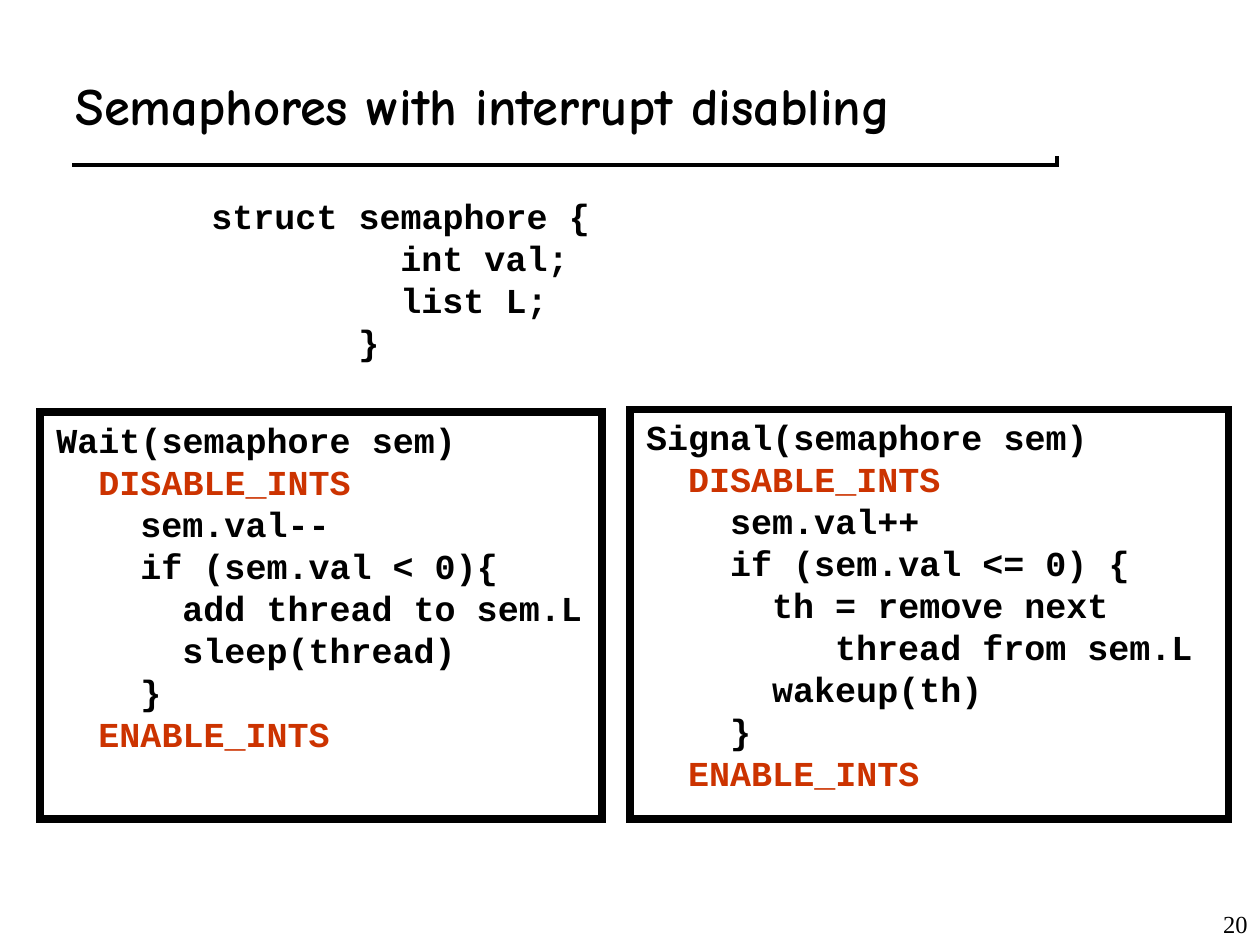
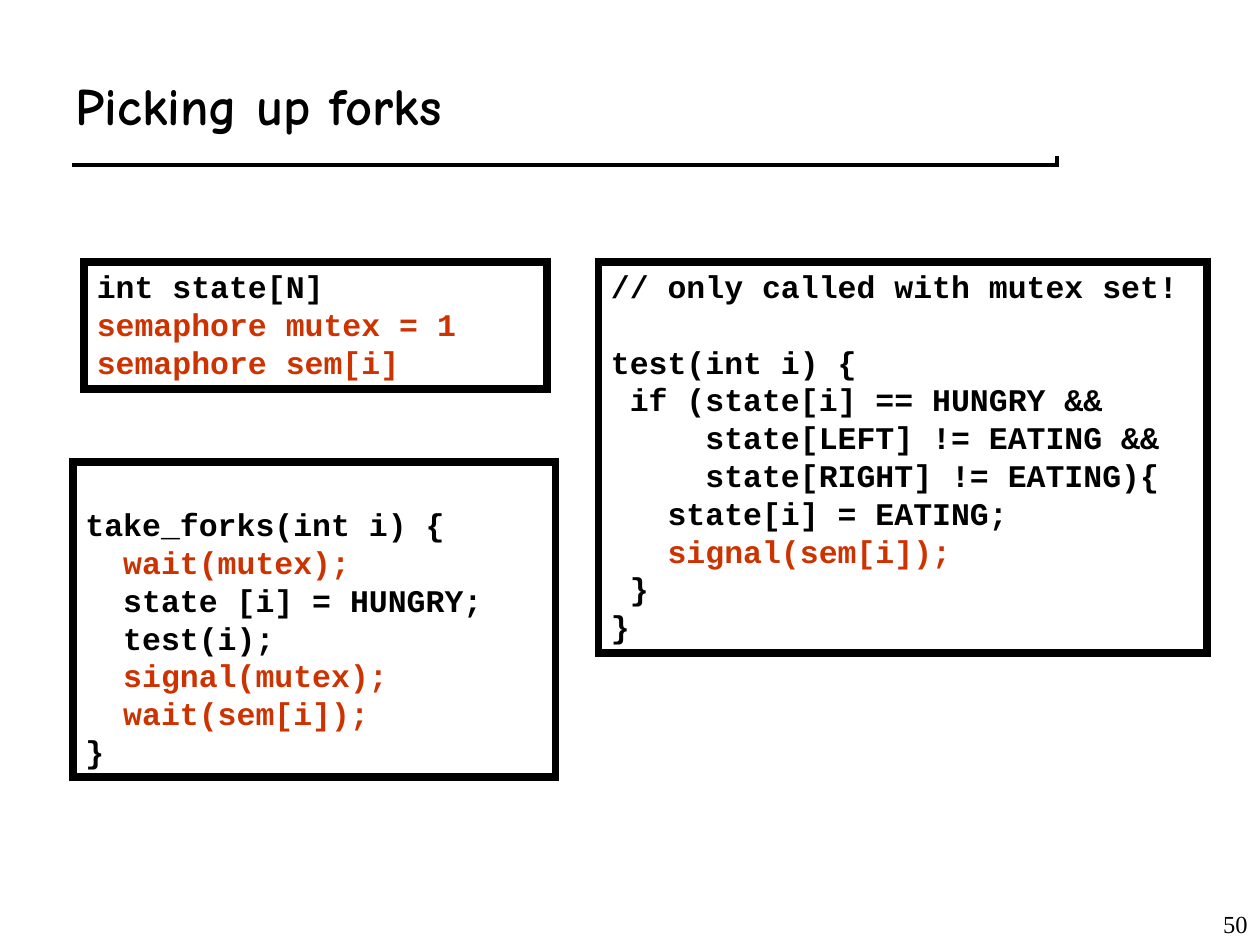
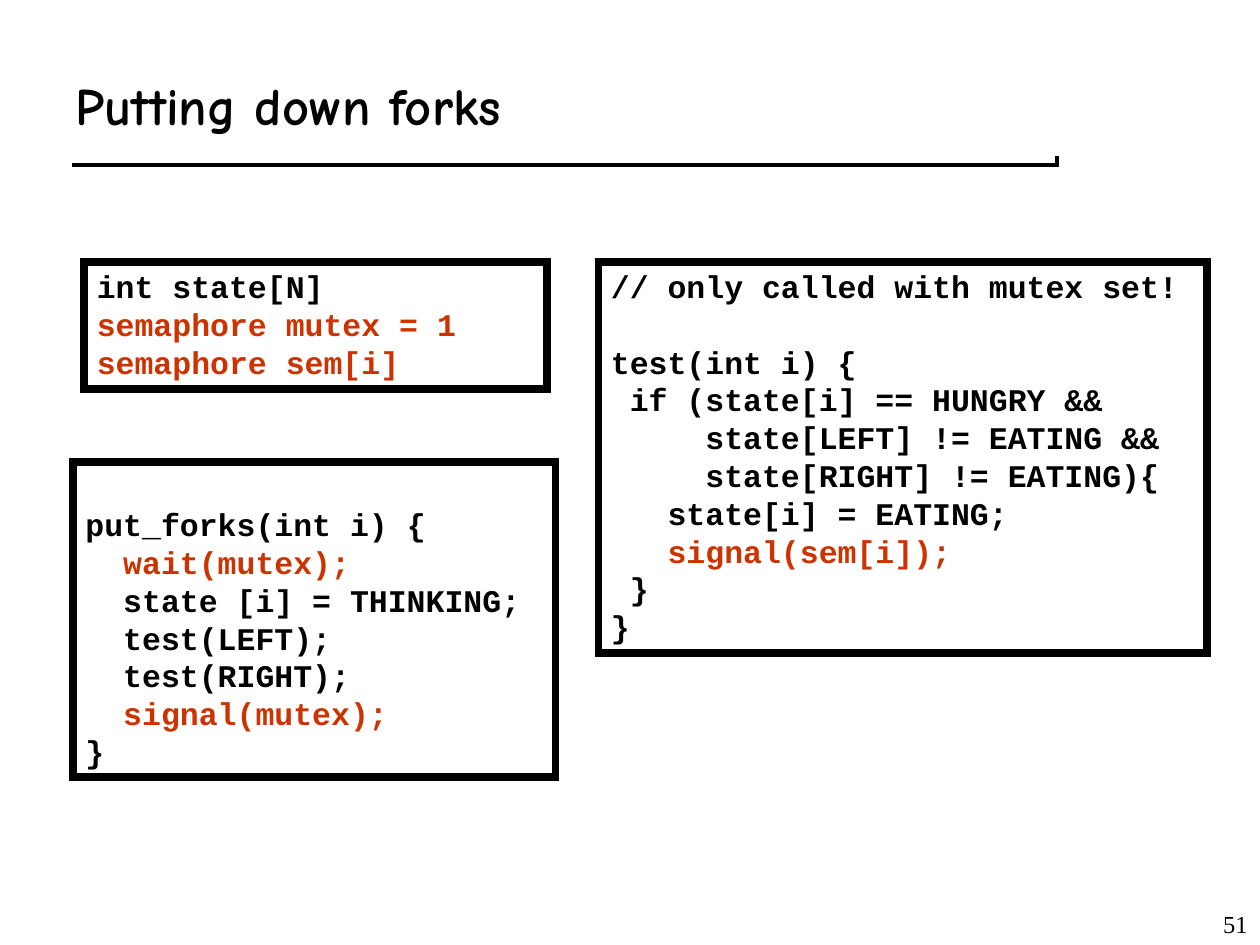
"""Builds three slides on semaphores and the dining philosophers."""
from pptx import Presentation
from pptx.dml.color import RGBColor
from pptx.enum.shapes import MSO_CONNECTOR, MSO_SHAPE
from pptx.enum.text import MSO_ANCHOR, PP_ALIGN
from pptx.util import Inches, Pt
from lxml import etree

COLORS = {"ink": "000000", "accent": "CC3300", "paper": "FFFFFF"}
STRAIGHT = MSO_CONNECTOR.STRAIGHT
RECTANGLE = MSO_SHAPE.RECTANGLE
TOP, MIDDLE, BOTTOM = MSO_ANCHOR.TOP, MSO_ANCHOR.MIDDLE, MSO_ANCHOR.BOTTOM
LEFT, RIGHT = PP_ALIGN.LEFT, PP_ALIGN.RIGHT
DRAWING_NS = "http://schemas.openxmlformats.org/drawingml/2006/main"

TITLE_ONLY = 5
CODE_FONT = "Courier New"
CODE_TOP_INSET = 0.04
CHAR_WIDTH = 0.6
LINE_HEIGHT = 1.2
ACCENT_STARTS = ("DISABLE_INTS", "ENABLE_INTS", "semaphore ", "wait(", "signal(")

STRUCT_CODE = """struct semaphore {
         int val;
         list L;
       }"""

WAIT_CODE = """Wait(semaphore sem)
  DISABLE_INTS
    sem.val--
    if (sem.val < 0){
      add thread to sem.L
      sleep(thread)
    }
  ENABLE_INTS"""

SIGNAL_CODE = """Signal(semaphore sem)
  DISABLE_INTS
    sem.val++
    if (sem.val <= 0) {
      th = remove next
         thread from sem.L
      wakeup(th)
    }
  ENABLE_INTS"""

STATE_CODE = """int state[N]
semaphore mutex = 1
semaphore sem[i]"""

TEST_CODE = """// only called with mutex set!

test(int i) {
 if (state[i] == HUNGRY &&
     state[LEFT] != EATING &&
     state[RIGHT] != EATING){
   state[i] = EATING;
   signal(sem[i]);
 }
}"""

TAKE_CODE = """
take_forks(int i) {
  wait(mutex);
  state [i] = HUNGRY;
  test(i);
  signal(mutex);
  wait(sem[i]);
}"""

PUT_CODE = """
put_forks(int i) {
  wait(mutex);
  state [i] = THINKING;
  test(LEFT);
  test(RIGHT);
  signal(mutex);
}"""


def write(paragraph, text, font, size, color="ink", bold=False, align=LEFT):
    """Put one formatted run into a paragraph."""
    paragraph.alignment = align
    run = paragraph.add_run()
    run.text = text
    run.font.name = font
    run.font.size = Pt(size)
    run.font.bold = bold
    run.font.color.rgb = RGBColor.from_string(COLORS[color])


def place(shape, left, top, width, height):
    """Move and size a shape, in inches."""
    shape.left, shape.top = Inches(left), Inches(top)
    shape.width, shape.height = Inches(width), Inches(height)


def style_line(shape, color, width):
    """Give a line its colour and width, with square ends and sharp corners."""
    shape.line.color.rgb = RGBColor.from_string(COLORS[color])
    shape.line.width = Pt(width)
    outline = shape.line._get_or_add_ln()
    outline.set("cap", "sq")
    etree.SubElement(outline, f"{{{DRAWING_NS}}}miter", lim="800000")


def add_rule(slide, left, top, color):
    """Draw one of the two thick lines under the title."""
    rule = slide.shapes.add_connector(
        STRAIGHT, Inches(left), Inches(top), Inches(left + 7.75), Inches(top))
    style_line(rule, color, 6)
    etree.SubElement(rule._element.spPr, f"{{{DRAWING_NS}}}effectLst")


def add_titled_slide(deck, heading, number):
    """Add a slide with its rules, page number and title."""
    slide = deck.slides.add_slide(deck.slide_layouts[TITLE_ONLY])
    add_rule(slide, 0.61, 1.28, "ink")
    add_rule(slide, 0.58, 1.25, "paper")

    page = slide.shapes.add_textbox(
        Inches(7.92), Inches(7), Inches(2.08), Inches(0.5)).text_frame
    page.word_wrap = True
    page.vertical_anchor = BOTTOM
    write(page.paragraphs[0], str(number), "Times New Roman", 14, align=RIGHT)

    title = slide.shapes.title
    place(title, 0.5, 0.33, 8.58, 1)
    title.text_frame.vertical_anchor = MIDDLE
    write(title.text_frame.paragraphs[0], heading, "Comic Neue", 30, bold=True)
    return slide


def fill_code(frame, code, size):
    """Write code, turning leading spaces into indents and blank lines into spacing."""
    frame.word_wrap = True
    frame.vertical_anchor = TOP
    line_points = size * LINE_HEIGHT
    body = code.lstrip("\n")
    leading_blanks = len(code) - len(body)
    frame.margin_top = Inches(CODE_TOP_INSET) + leading_blanks * Pt(line_points)
    paragraph, blanks = frame.paragraphs[0], 0
    for number, line in enumerate(body.split("\n")):
        statement = line.lstrip()
        if not statement:
            blanks += 1
            continue
        if number:
            paragraph = frame.add_paragraph()
        indent = (len(line) - len(statement)) * size * CHAR_WIDTH
        paragraph._p.get_or_add_pPr().set("marL", str(Pt(indent)))
        paragraph.line_spacing = Pt(line_points)
        paragraph.space_before = Pt(blanks * line_points)
        blanks = 0
        color = "accent" if statement.startswith(ACCENT_STARTS) else "ink"
        write(paragraph, statement, CODE_FONT, size, color=color, bold=True)


def add_listing(slide, code, left, top, width, height):
    """Add unframed code."""
    listing = slide.shapes.add_textbox(
        Inches(left), Inches(top), Inches(width), Inches(height))
    fill_code(listing.text_frame, code, 20)


def add_frame(slide, left, top, width, height, code=None):
    """Add a thick black frame, with code inside if given."""
    frame = slide.shapes.add_shape(
        RECTANGLE, Inches(left), Inches(top), Inches(width), Inches(height))
    frame.shadow.inherit = False
    frame.fill.background()
    style_line(frame, "ink", 4.5)
    if code:
        fill_code(frame.text_frame, code, 18)


def add_semaphore_slide(deck):
    """Show wait and signal side by side below the semaphore struct."""
    slide = add_titled_slide(deck, "Semaphores with interrupt disabling", 20)
    add_listing(slide, SIGNAL_CODE, 5.03, 3.26, 4.72, 3.1)
    add_frame(slide, 5, 3.25, 4.75, 3.25)
    add_listing(slide, STRUCT_CODE, 1.58, 1.5, 6.33, 1.44)
    add_listing(slide, WAIT_CODE, 0.35, 3.28, 4.9, 3.1)
    add_frame(slide, 0.32, 3.27, 4.46, 3.23)


def add_forks_slide(deck, heading, number, forks_code):
    """Show a fork routine with the shared state and test code."""
    slide = add_titled_slide(deck, heading, number)
    add_frame(slide, 4.75, 2.08, 4.83, 3.1, TEST_CODE)
    add_frame(slide, 0.67, 2.08, 3.67, 1.01, STATE_CODE)
    add_frame(slide, 0.58, 3.67, 3.83, 2.5, forks_code)


def main():
    """Build and save the deck."""
    deck = Presentation()
    deck.slide_width, deck.slide_height = Inches(10), Inches(7.5)
    add_semaphore_slide(deck)
    add_forks_slide(deck, "Picking up forks", 50, TAKE_CODE)
    add_forks_slide(deck, "Putting down forks", 51, PUT_CODE)
    deck.save("out.pptx")


if __name__ == "__main__":
    main()
